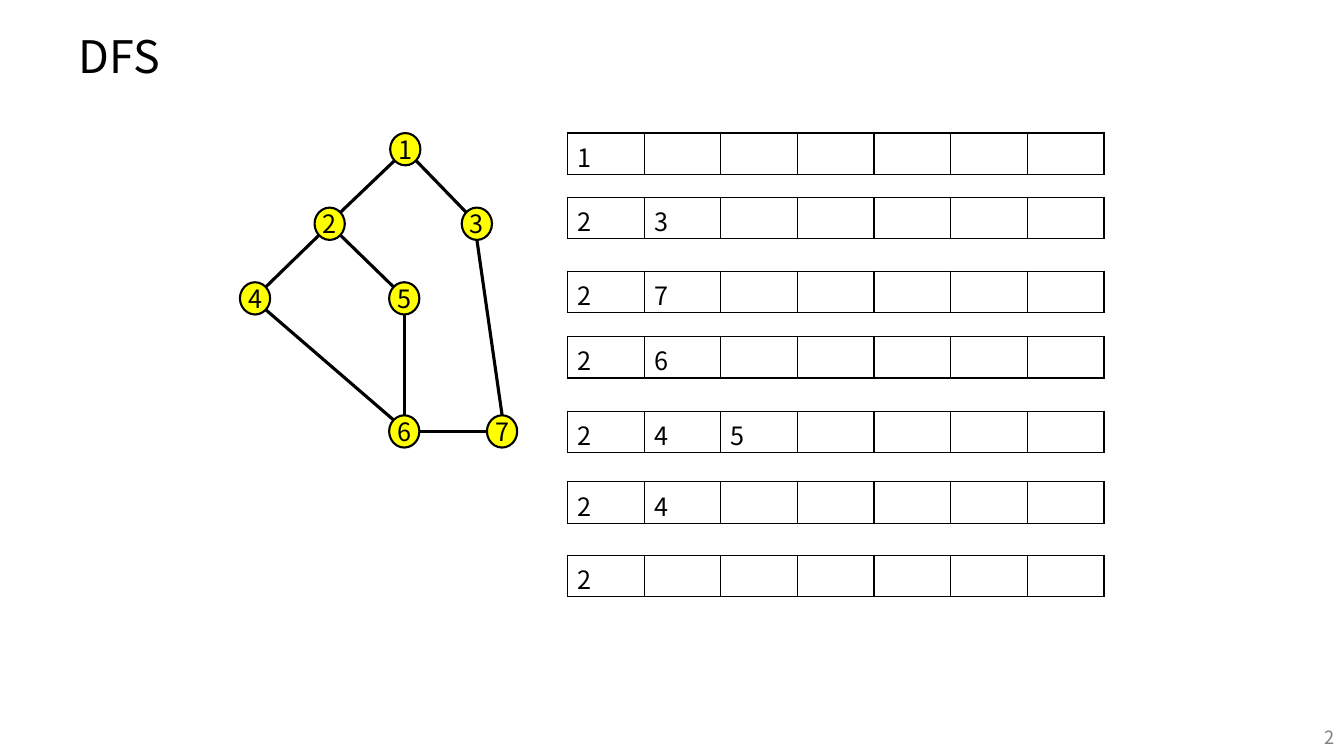
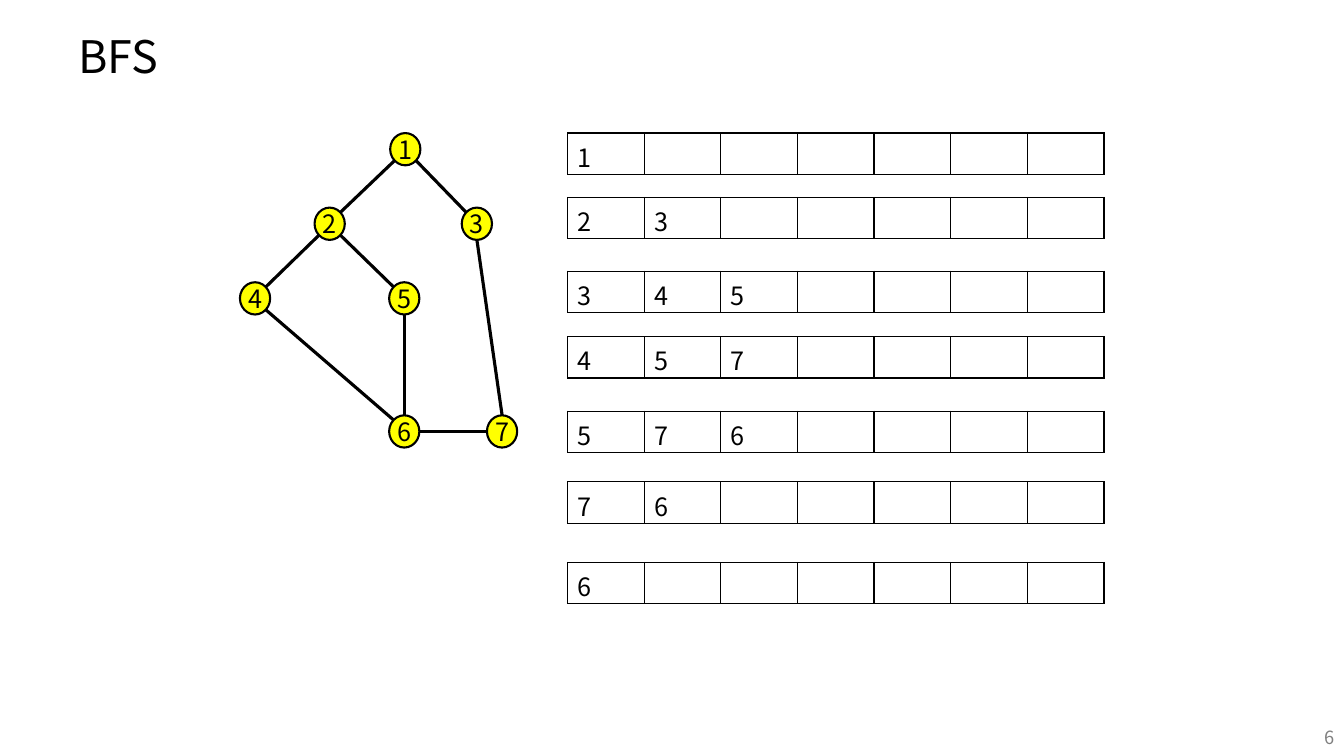
import pptx
import pptx.util
import pptx.dml.color
import pptx.enum.text
import pptx.enum.shapes
import pptx.oxml.ns
import lxml.etree

Inches, Pt = pptx.util.Inches, pptx.util.Pt
ALIGN = pptx.enum.text.PP_ALIGN
ANCHOR = pptx.enum.text.MSO_ANCHOR
KIND = pptx.enum.shapes

# Content: title, page number, then (top, queue) for every step
SLIDES = [
    ("DFS", "2", [(1.32, "1"), (1.96, "23"), (2.69, "27"), (3.34, "26"),
                  (4.08, "245"), (4.78, "24"), (5.51, "2")]),
    ("BFS", "6", [(1.32, "1"), (1.96, "23"), (2.69, "345"), (3.34, "457"),
                  (4.08, "576"), (4.78, "76"), (5.58, "6")]),
]
# Node centres
NODES = {"1": (4.02, 1.48), "2": (3.27, 2.22), "3": (4.73, 2.22),
         "4": (2.53, 2.96), "5": (4.01, 2.96), "7": (4.98, 4.28),
         "6": (4.01, 4.28)}
# Node and side at each end
EDGES = [("1", "SW", "2", "NE"), ("2", "SW", "4", "NE"),
         ("2", "SE", "5", "NW"), ("1", "SE", "3", "NW"),
         ("4", "SE", "6", "NW"), ("5", "S", "6", "N"),
         ("6", "E", "7", "W"), ("7", "N", "3", "S")]

# Shared style
FONT, INK, GREY, YELLOW = "Noto Sans CJK KR", "000000", "808080", "FFFF00"
NODE_W, NODE_H = 0.3, 0.32
LEFT, COL, ROW, COUNT = 5.63, 0.76, 0.41, 7
TITLE = {"size": Pt(32)}
PAGE = {"size": Pt(13)}
LABEL = {"size": Pt(18)}


def rgb(code):
    """Turn a hex string into a colour."""
    return pptx.dml.color.RGBColor.from_string(code)


def put(frame, text, style, color=INK, **para):
    """Write one line of text with its font and paragraph format."""
    line = frame.paragraphs[0]
    for name, value in para.items():
        setattr(line, name, value)
    run = line.add_run()
    run.text = text
    for name, value in {"name": FONT, **style}.items():
        setattr(run.font, name, value)
    run.font.color.rgb = rgb(color)


def box(slide, at, text, style, color, align):
    """Add a text box."""
    frame = slide.shapes.add_textbox(*map(Inches, at)).text_frame
    frame.word_wrap = True
    put(frame, text, style, color, alignment=align, line_spacing=0.9)


def node(group, name):
    """Draw a numbered node around its centre."""
    x, y = NODES[name]
    oval = group.shapes.add_shape(
        KIND.MSO_SHAPE.OVAL, Inches(x - NODE_W / 2), Inches(y - NODE_H / 2),
        Inches(NODE_W), Inches(NODE_H))
    oval.shadow.inherit = False
    oval.fill.solid()
    oval.fill.fore_color.rgb = rgb(YELLOW)
    oval.line.color.rgb = rgb(INK)
    oval.line.width = Pt(1.5)
    frame = oval.text_frame
    for key, value in {"margin_left": 0, "margin_right": 0,
                       "vertical_anchor": ANCHOR.MIDDLE}.items():
        setattr(frame, key, value)
    put(frame, name, LABEL, alignment=ALIGN.CENTER)


def rim(name, side):
    """Find the point of a node's outline on a compass side."""
    x, y = NODES[name]
    dx = ("E" in side) - ("W" in side)
    dy = ("S" in side) - ("N" in side)
    part = 0.5 ** 0.5 if dx and dy else 1
    return (Inches(x + dx * part * NODE_W / 2),
            Inches(y + dy * part * NODE_H / 2))


def edge(group, start, exit, end, entry):
    """Join two nodes with a straight line."""
    line = group.shapes.add_connector(
        KIND.MSO_CONNECTOR.STRAIGHT, *rim(start, exit), *rim(end, entry))
    line.line.color.rgb = rgb(INK)
    line.line.width = Pt(2.25)
    lxml.etree.SubElement(line._element.spPr,
                          pptx.oxml.ns.qn("a:effectLst"))


def frame_cell(cell):
    """Clear a cell's fill and give it thin borders."""
    qn = pptx.oxml.ns.qn
    cell.fill.background()
    props = cell._tc.get_or_add_tcPr()
    for spot, side in enumerate(("lnL", "lnR", "lnT", "lnB")):
        line = lxml.etree.Element(qn("a:" + side), w=str(Pt(1)))
        fill = lxml.etree.SubElement(line, qn("a:solidFill"))
        lxml.etree.SubElement(fill, qn("a:srgbClr"), val=INK)
        props.insert(spot, line)


def queue(slide, top, items):
    """Draw one step of the queue as a table of one row."""
    table = slide.shapes.add_table(
        1, COUNT, Inches(LEFT), Inches(top),
        Inches(COL * COUNT), Inches(ROW)).table
    table.first_row = table.horz_banding = False
    for spot in range(COUNT):
        table.columns[spot].width = Inches(COL)
        cell = table.cell(0, spot)
        frame_cell(cell)
        if spot < len(items):
            put(cell.text_frame, items[spot], LABEL)


def build(deck, title, page, steps):
    """Make one slide: title, page number, graph and queue steps."""
    slide = deck.slides.add_slide(deck.slide_layouts[6])
    box(slide, (0.68, 0.3, 11.97, 0.79), title, TITLE, INK, ALIGN.LEFT)
    box(slide, (10.22, 7.18, 3.11, 0.4), page, PAGE, GREY, ALIGN.RIGHT)
    graph = slide.shapes.add_group_shape()
    for name in NODES:
        node(graph, name)
    for ends in EDGES:
        edge(graph, *ends)
    for top, items in steps:
        queue(slide, top, items)


deck = pptx.Presentation()
deck.slide_width, deck.slide_height = Inches(13.33), Inches(7.5)
for entry in SLIDES:
    build(deck, *entry)
deck.save("out.pptx")
